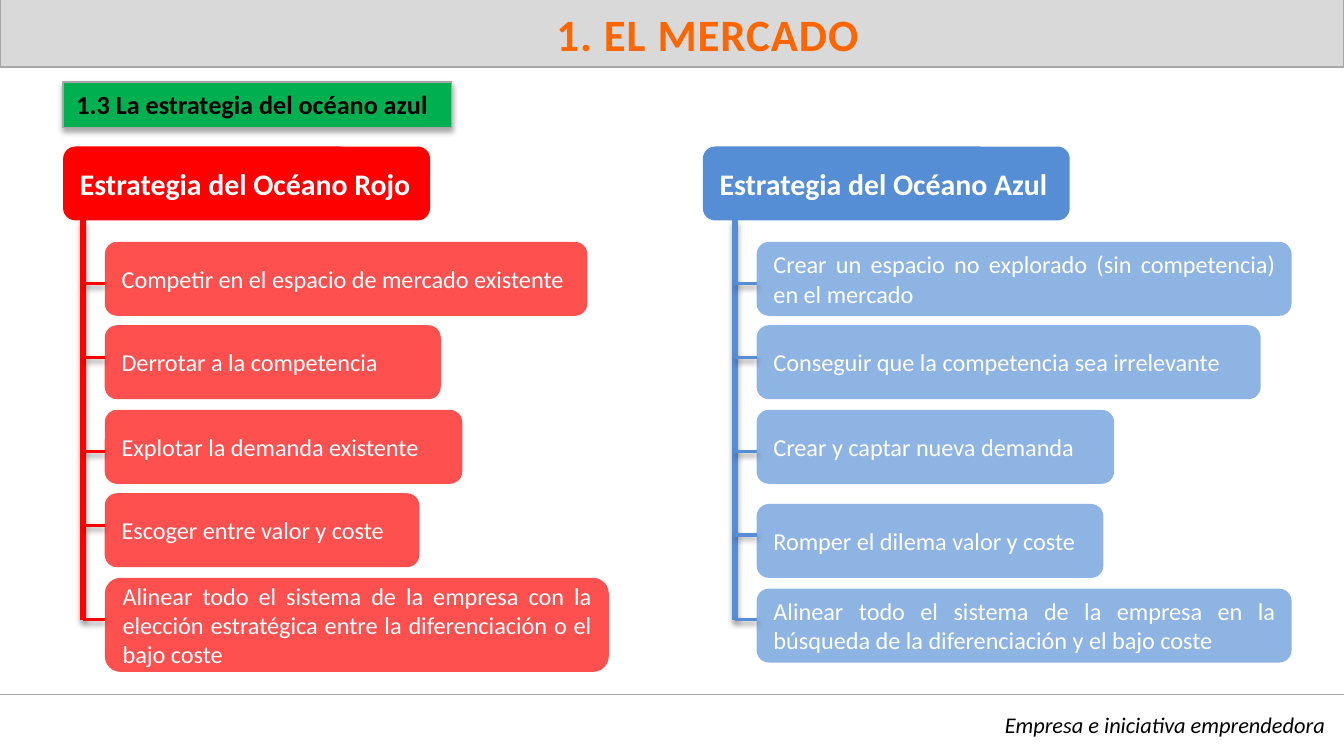
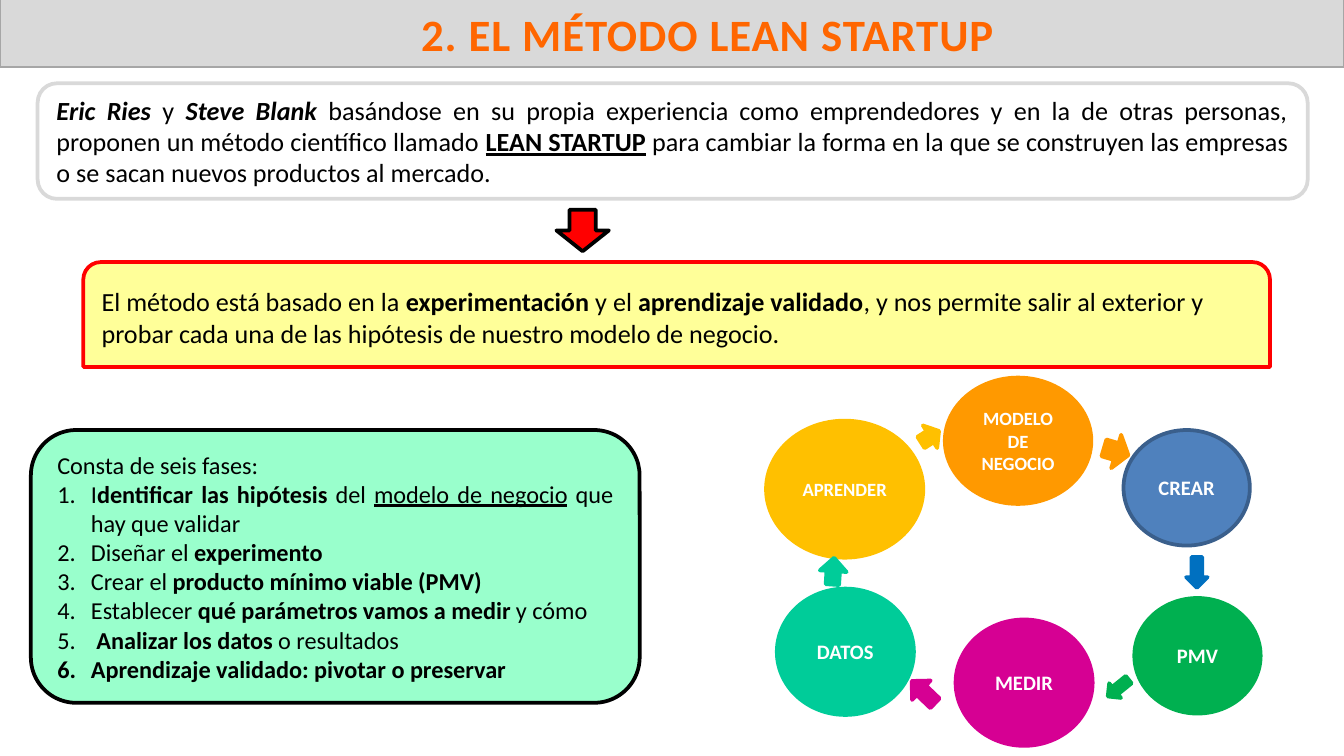
from lxml.etree import SubElement
from pptx import Presentation
from pptx.dml.color import RGBColor
from pptx.enum.shapes import MSO_CONNECTOR, MSO_SHAPE
from pptx.enum.text import MSO_ANCHOR, MSO_AUTO_SIZE, PP_ALIGN
from pptx.oxml.ns import qn
from pptx.util import Inches, Pt

COLORS = {
    "band": "D9D9D9", "rule": "A6A6A6", "title": "FF6600",
    "black": "000000", "white": "FFFFFF",
    "red": "FF0000", "light_red": "FF5050",
    "blue": "558ED5", "light_blue": "8EB4E3",
    "green": "00B050", "yellow": "FFFF99", "mint": "99FFCC",
    "orange": "FF9900", "steel": "4F81BD", "dark_steel": "3A5F8C",
    "azure": "0070C0", "magenta": "D60093", "teal": "00CC99", "gold": "FFC000",
}
RGB = {name: RGBColor.from_string(value) for name, value in COLORS.items()}
FONT = "Calibri"


def box(s, kind, at, fill=None, line=None, width=2, text=(), size=13,
        color="black", bold=None, align=PP_ALIGN.JUSTIFY):
    sp = s.shapes.add_shape(kind, *[Inches(v) for v in at])
    sp.shadow.inherit = False
    if fill:
        sp.fill.solid()
        sp.fill.fore_color.rgb = RGB[fill]
    else:
        sp.fill.background()
    if line:
        sp.line.color.rgb = RGB[line]
        sp.line.width = Pt(width)
    else:
        sp.line.fill.background()
    tf = sp.text_frame
    tf.word_wrap = True
    for i, runs in enumerate(text):
        p = tf.add_paragraph() if i else tf.paragraphs[0]
        p.alignment = align
        p.font.name, p.font.size = FONT, Pt(size)
        p.font.color.rgb = RGB[color]
        p.font.bold = bold
        for words, style in runs:
            r = p.add_run()
            r.text = words
            if "b" in style:
                r.font.bold = True
            if "i" in style:
                r.font.italic = True
            if "u" in style:
                r.font.underline = True
    return sp


def add_shadow(sp):
    pr = sp._element.spPr
    for old in pr.findall(qn("a:effectLst")):
        pr.remove(old)
    effects = SubElement(pr, qn("a:effectLst"))
    shadow = SubElement(effects, qn("a:outerShdw"), blurRad=str(Pt(3.1)),
                        dist=str(Pt(1.8)), dir="5400000", rotWithShape="0")
    rgb = SubElement(shadow, qn("a:srgbClr"), val=COLORS["black"])
    SubElement(rgb, qn("a:alpha"), val="35000")


prs = Presentation()
prs.slide_width = Inches(10)
prs.slide_height = prs.slide_width * 9 // 16

slides = []
for heading in ("1. EL MERCADO", "2. EL MÉTODO LEAN STARTUP"):
    s = prs.slides.add_slide(prs.slide_layouts[5])
    title = s.shapes.title
    title.left, title.top = Inches(0), Inches(-0.01)
    title.width, title.height = Inches(10), Inches(0.51)
    title.fill.solid()
    title.fill.fore_color.rgb = RGB["band"]
    title.line.color.rgb = RGB["rule"]
    title.line.width = Pt(0.75)
    tf = title.text_frame
    tf.text = heading
    tf.auto_size = MSO_AUTO_SIZE.NONE
    tf.vertical_anchor = MSO_ANCHOR.BOTTOM
    p = tf.paragraphs[0]
    p.alignment = PP_ALIGN.CENTER
    p._p.get_or_add_pPr().set("marL", str(Inches(0.53)))
    p._p.get_or_add_pPr().set("indent", "0")
    font = p.runs[0].font
    font.name, font.size, font.bold = FONT, Pt(24), True
    font.color.rgb = RGB["title"]
    p.runs[0]._r.get_or_add_rPr().set("spc", "50")
    slides.append(s)

s = slides[0]
rule = s.shapes.add_connector(MSO_CONNECTOR.STRAIGHT, Inches(0), Inches(5.17),
                              Inches(10), Inches(5.17))
rule.line.color.rgb = RGB["rule"]
rule.line.width = Pt(0.75)
SubElement(rule._element.spPr, qn("a:effectLst"))

footer = s.shapes.add_textbox(Inches(0.9), Inches(5.24), Inches(9.06), Inches(0.3))
tf = footer.text_frame
tf.word_wrap = True
tf.text = "Empresa e iniciativa emprendedora"
p = tf.paragraphs[0]
p.alignment = PP_ALIGN.RIGHT
p.font.name, p.font.size, p.font.italic = FONT, Pt(12), True
p.font.color.rgb = RGB["black"]

section = box(s, MSO_SHAPE.RECTANGLE, (0.47, 0.61, 2.89, 0.34), "green", "rule", 0.75,
              [[("1.3 La estrategia del océano azul", "")]], 14, bold=True,
              align=PP_ALIGN.LEFT)
section.text_frame.vertical_anchor = MSO_ANCHOR.TOP
add_shadow(section)

strategies = [
    ("Estrategia del Océano Rojo", "red", "light_red", 0.47, 0.62, [
        ("Competir en el espacio de mercado existente", 1.8, 3.59, 0.55, 2.11),
        ("Derrotar a la competencia", 2.42, 2.5, 0.55, 2.66),
        ("Explotar la demanda existente", 3.05, 2.66, 0.55, 3.36),
        ("Escoger entre valor y coste", 3.67, 2.34, 0.55, 3.91),
        ("Alinear todo el sistema de la empresa con la elección estratégica "
         "entre la diferenciación o el bajo coste", 4.3, 3.75, 0.7, 4.61),
    ]),
    ("Estrategia del Océano Azul", "blue", "light_blue", 5.23, 5.47, [
        ("Crear un espacio no explorado (sin competencia) en el mercado",
         1.8, 3.98, 0.55, 2.11),
        ("Conseguir que la competencia sea irrelevante", 2.42, 3.75, 0.55, 2.66),
        ("Crear y captar nueva demanda", 3.05, 2.66, 0.55, 3.36),
        ("Romper el dilema valor y coste", 3.75, 2.58, 0.55, 3.98),
        ("Alinear todo el sistema de la empresa en la búsqueda de la "
         "diferenciación y el bajo coste", 4.38, 3.98, 0.55, 4.61),
    ]),
]
for name, strong, light, left, trunk, features in strategies:
    box(s, MSO_SHAPE.ROUNDED_RECTANGLE, (left, 1.09, 2.73, 0.55), strong,
        text=[[(name, "")]], size=16, color="white", bold=True)
    lines = [(trunk, 1.64, trunk, 4.61, 3)]
    for text, top, width, height, branch in features:
        box(s, MSO_SHAPE.ROUNDED_RECTANGLE, (trunk + 0.16, top, width, height), light,
            text=[[(text, "")]], color="white")
        lines.append((trunk, branch, trunk + 0.16, branch, 2))
    for *ends, weight in lines:
        link = s.shapes.add_connector(MSO_CONNECTOR.STRAIGHT, *[Inches(v) for v in ends])
        link.line.color.rgb = RGB[strong]
        link.line.width = Pt(weight)
        add_shadow(link)

s = slides[1]
box(s, MSO_SHAPE.ROUNDED_RECTANGLE, (0.28, 0.62, 9.45, 0.86), None, "band", text=[[
    ("Eric Ries", "bi"), (" y ", ""), ("Steve Blank", "bi"),
    (" basándose en su propia experiencia como emprendedores y en la de otras "
     "personas, proponen un método científico llamado ", ""),
    ("LEAN STARTUP", "bu"),
    (" para cambiar la forma en la que se construyen las empresas o se sacan "
     "nuevos productos al mercado.", ""),
]], size=14)
box(s, MSO_SHAPE.ROUND_2_SAME_RECTANGLE, (0.62, 1.95, 8.83, 0.78), "yellow", "red", text=[[
    ("El método está basado en la ", ""), ("experimentación", "b"), (" y el ", ""),
    ("aprendizaje validado", "b"),
    (", y nos permite salir al exterior y probar cada una de las hipótesis de "
     "nuestro modelo de negocio.", ""),
]], size=14, align=PP_ALIGN.LEFT)
box(s, MSO_SHAPE.DOWN_ARROW, (4.14, 1.56, 0.39, 0.31), "red", "black")

phases = box(s, MSO_SHAPE.ROUNDED_RECTANGLE, (0.23, 3.2, 4.53, 2.03), "mint", "black", text=[
    [("Consta de seis fases:", "")],
    [("I", ""), ("dentificar las hipótesis ", "b"), ("del ", ""),
     ("modelo de negocio", "u"), (" que hay que validar", "")],
    [("Diseñar el ", ""), ("experimento", "b")],
    [("Crear el ", ""), ("producto mínimo viable (PMV)", "b")],
    [("Establecer ", ""), ("qué parámetros vamos a medir", "b"), (" y cómo", "")],
    [(" ", ""), ("Analizar los datos", "b"), (" o resultados", "")],
    [("Aprendizaje validado: pivotar o preservar", "b")],
])
for p in phases.text_frame.paragraphs[1:]:
    pPr = p._p.get_or_add_pPr()
    pPr.set("marL", str(Inches(0.25)))
    pPr.set("indent", str(Inches(-0.25)))
    number = pPr.makeelement(qn("a:buAutoNum"), {"type": "arabicPeriod"})
    pPr.insert(0, number)

cycle = [
    ("MODELO DE NEGOCIO", (7.03, 2.81, 1.09, 0.94), "orange", "orange", 10),
    ("CREAR", (8.36, 3.2, 0.94, 0.86), "steel", "dark_steel", 11),
    ("PMV", (8.44, 4.45, 0.94, 0.86), "green", "green", 11),
    ("MEDIR", (7.11, 4.61, 1.02, 0.94), "magenta", "magenta", 11),
    ("DATOS", (5.78, 4.38, 1.02, 0.94), "teal", "teal", 11),
    ("APRENDER", (5.7, 3.13, 1.17, 1.02), "gold", "gold", 10),
]
for text, at, fill, line, size in cycle:
    stage = box(s, MSO_SHAPE.OVAL, at, fill, line, text=[[(text, "")]], size=size,
                color="white", bold=True, align=PP_ALIGN.CENTER)
    stage.text_frame.margin_left = stage.text_frame.margin_right = Inches(0.08)

arrows = [
    ((8.21, 3.23, 0.19, 0.26), 16.5, "orange"),
    ((8.79, 4.18, 0.23, 0.16), 90, "azure"),
    ((8.22, 5.05, 0.2, 0.14), 141.2, "green"),
    ((6.75, 5.05, 0.24, 0.2), 223.7, "magenta"),
    ((6.1, 4.15, 0.2, 0.2), 273.7, "teal"),
    ((6.84, 3.15, 0.16, 0.2), 327.6, "gold"),
]
for at, angle, color in arrows:
    box(s, MSO_SHAPE.RIGHT_ARROW, at, color, color).rotation = angle

prs.save("out.pptx")
